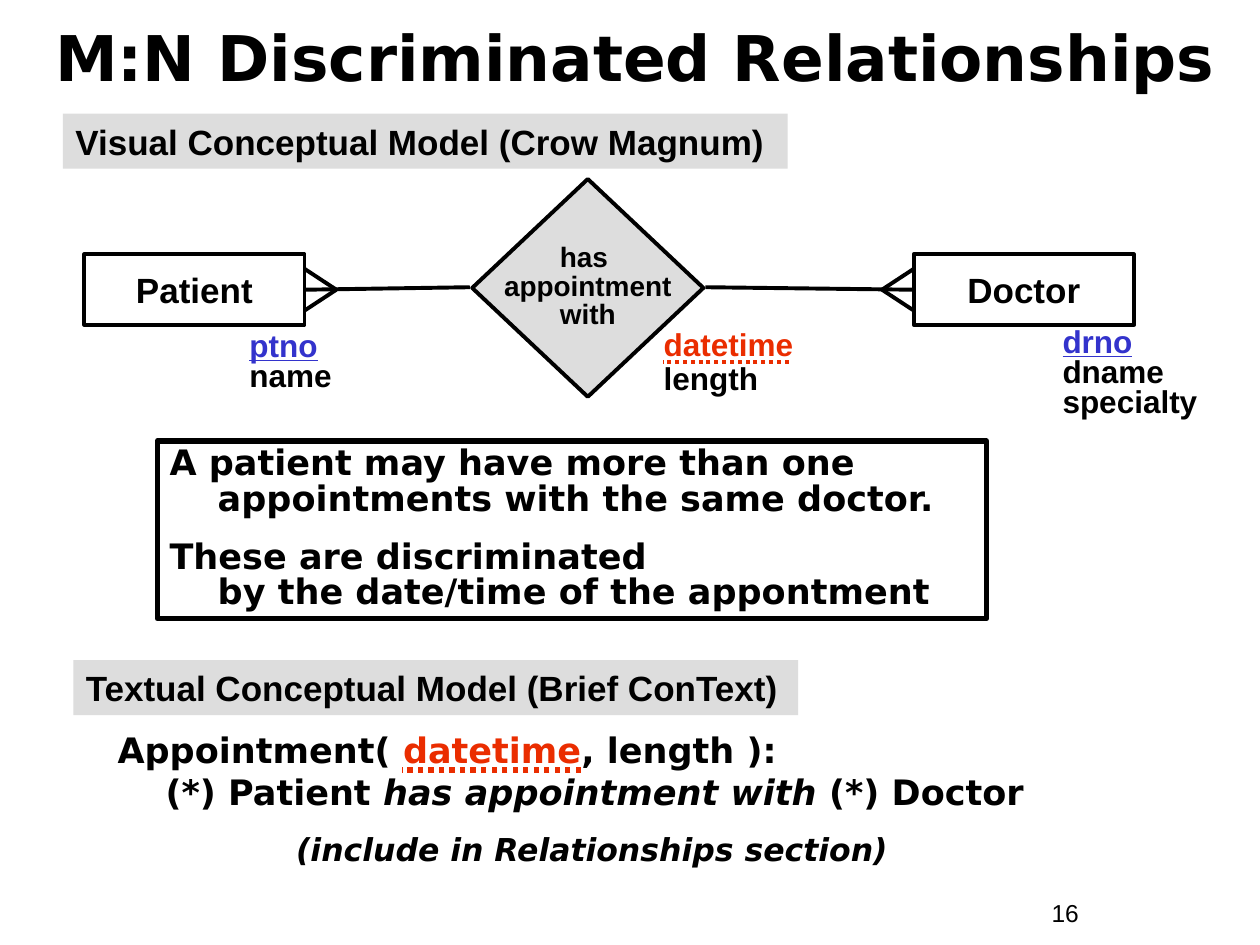
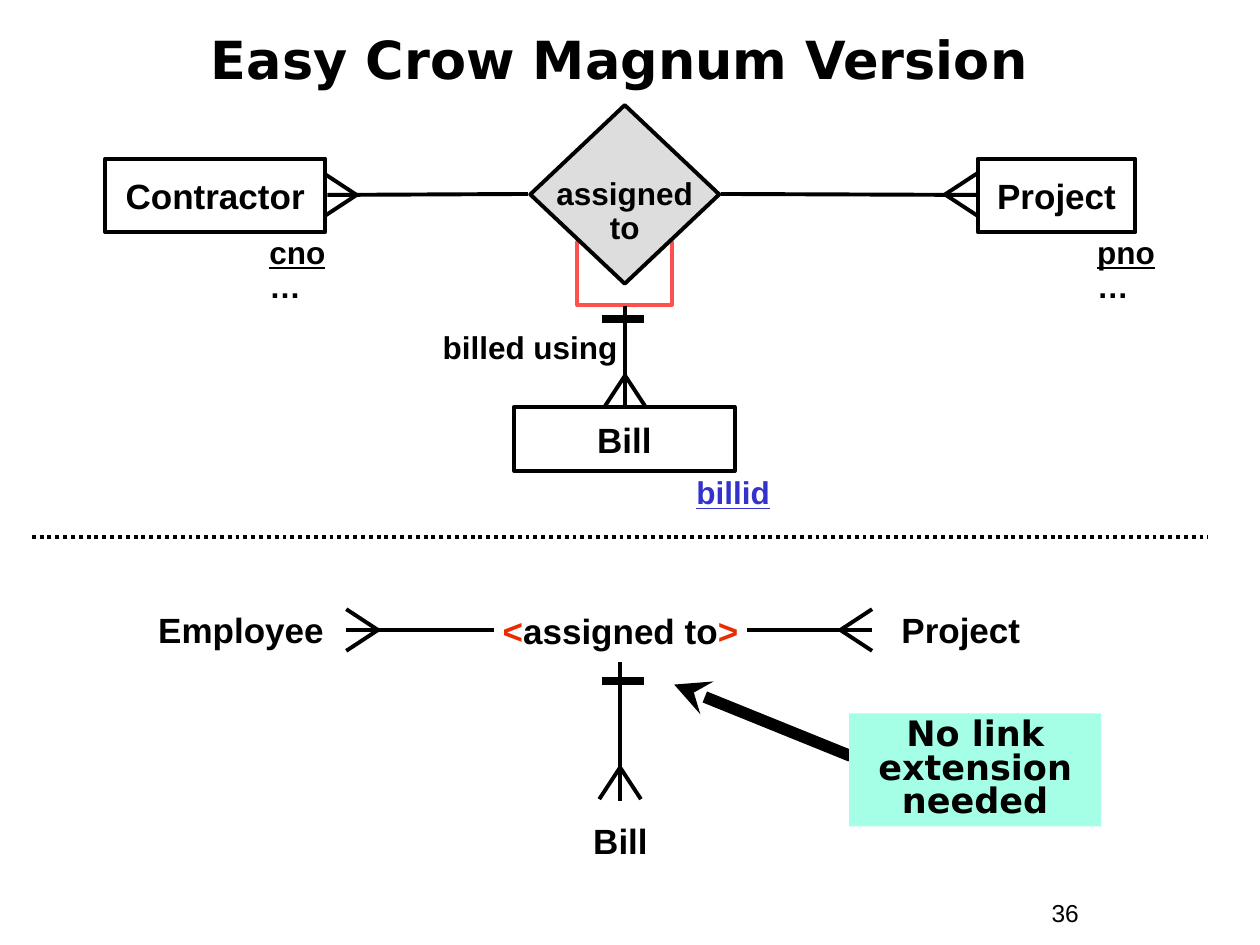
from lxml import etree
from pptx import Presentation
from pptx import util as u
from pptx.dml.color import RGBColor
from pptx.enum import dml, shapes, text
from pptx.oxml.ns import qn

BLACK = RGBColor(0x00, 0x00, 0x00)
WHITE = RGBColor(0xFF, 0xFF, 0xFF)
GREY = RGBColor(0xDD, 0xDD, 0xDD)
KEY_BLUE = RGBColor(0x33, 0x33, 0xCC)
ACCENT_RED = RGBColor(0xEA, 0x2D, 0x00)
LINK_RED = RGBColor(0xFF, 0x50, 0x50)
MINT = RGBColor(0xA5, 0xFF, 0xE7)

SANS, WIDE = "Arial", "DejaVu Sans"
LEFT, CENTER, RIGHT = (text.PP_ALIGN.LEFT, text.PP_ALIGN.CENTER,
                       text.PP_ALIGN.RIGHT)
LINE = 2.25  # standard stroke, points
FOOT, SPREAD = 0.64, 0.42  # crow's foot length and half width, cm
HANG = 0.97  # hanging indent, cm


def run(words, color=BLACK, italic=False, underline=False):
    return words, color, italic, underline


class Deck:
    """Holds the style and the slide being drawn."""

    def __init__(self):
        self.prs = Presentation()
        self.prs.slide_width, self.prs.slide_height = u.Cm(25.4), u.Cm(19.05)
        self.slide = None

    def new_slide(self, number):
        self.slide = self.prs.slides.add_slide(self.prs.slide_layouts[6])
        self.text((20.95, 17.98, 2.34, 0.86), [[run(number)]], size=14, bold=False)

    def fill_frame(self, frame, paragraphs, size=20, font=SANS, bold=True,
                   align=LEFT, spacing=1.0, before=0, hang=0, wrap=True,
                   middle=False, top=0.13):
        frame.word_wrap = wrap
        frame.margin_left = frame.margin_right = u.Cm(0.25)
        frame.margin_top, frame.margin_bottom = u.Cm(top), u.Cm(0.13)
        frame.vertical_anchor = (text.MSO_ANCHOR.MIDDLE if middle
                                 else text.MSO_ANCHOR.TOP)
        for index, runs in enumerate(paragraphs):
            para = frame.add_paragraph() if index else frame.paragraphs[0]
            para.alignment = align
            para.line_spacing = spacing
            para.space_before = u.Pt(before if index else 0)
            if hang:
                props = para._p.get_or_add_pPr()
                props.set("marL", str(u.Cm(hang)))
                props.set("indent", str(-u.Cm(hang)))
            for words, color, italic, underline in runs:
                for row, part in enumerate(words.split("\n")):
                    if row:
                        para.add_line_break()
                    piece = para.add_run()
                    piece.text = part
                    piece.font.size, piece.font.name = u.Pt(size), font
                    piece.font.bold, piece.font.italic = bold, italic
                    piece.font.underline = underline
                    piece.font.color.rgb = color

    def text(self, box, paragraphs, **style):
        area = self.slide.shapes.add_textbox(*map(u.Cm, box))
        self.fill_frame(area.text_frame, paragraphs, **style)

    def title(self, box, words, size, spacing=1.0):
        self.text(box, [[run(words)]], size=size, font=WIDE, align=CENTER,
                  spacing=spacing, middle=True)

    def shape(self, box, paragraphs=(), kind=shapes.MSO_SHAPE.RECTANGLE,
              fill=None, line=None, width=LINE, **style):
        form = self.slide.shapes.add_shape(kind, *map(u.Cm, box))
        form.shadow.inherit = False
        if fill is None:
            form.fill.background()
        else:
            form.fill.solid()
            form.fill.fore_color.rgb = fill
        if line is None:
            form.line.fill.background()
        else:
            form.line.color.rgb, form.line.width = line, u.Pt(width)
        self.fill_frame(form.text_frame, paragraphs, **style)

    def heading(self, left, top, words):
        self.shape((left, top, 14.61, 1.11), [[run(words)]], fill=GREY)

    def entity(self, box, words):
        self.shape(box, [[run(words)]], line=BLACK, align=CENTER,
                   wrap=False, middle=True)

    def entity_label(self, box, words):
        self.text(box, [[run(words)]], align=CENTER, wrap=False, middle=True)

    def relationship(self, box, words, size, spacing, top=0.13):
        self.shape(box, [[run(words)]], fill=GREY, line=BLACK, size=size,
                   kind=shapes.MSO_SHAPE.FLOWCHART_DECISION, align=CENTER,
                   spacing=spacing, wrap=False, middle=True, top=top)

    def attributes(self, box, key, others=(), color=KEY_BLUE, underline=True,
                   spacing=0.9):
        rows = [[run(key, color, underline=underline)]]
        self.text(box, rows + [[run(name)] for name in others], size=18,
                  spacing=spacing)

    def line(self, start, end, color=BLACK, width=LINE, dotted=False, arrow=False):
        link = self.slide.shapes.add_connector(
            shapes.MSO_CONNECTOR.STRAIGHT, *map(u.Cm, start + end))
        link.line.color.rgb, link.line.width = color, u.Pt(width)
        if dotted:
            link.line.dash_style = dml.MSO_LINE.ROUND_DOT
        props = link._element.spPr
        if arrow:
            etree.SubElement(props.find(qn("a:ln")), qn("a:tailEnd"), type="stealth")
        etree.SubElement(props, qn("a:effectLst"))

    def crow_foot(self, x, y, across=0, down=0):
        """Two toes from the tip (x, y), spreading in the given direction."""
        for side in (-SPREAD, SPREAD):
            self.line((x, y), (x + across * FOOT + abs(down) * side,
                               y + down * FOOT + abs(across) * side))

    def one_bar(self, y):
        self.line((12.14, y), (12.98, y), width=4.5)


def discriminated_relationships(deck):
    deck.new_slide("16")
    deck.title((0.84, 0.43, 23.93, 1.7), "M:N Discriminated Relationships", 36, 0.8)

    # Visual model
    deck.heading(1.27, 2.29, "Visual Conceptual Model (Crow Magnum)")
    deck.relationship((9.52, 3.61, 4.66, 4.39), "has \nappointment\nwith", 16, 0.85)
    for left, name in ((1.7, "Patient"), (18.42, "Doctor")):
        deck.entity((left, 5.13, 4.44, 1.42), name)
    deck.line((6.17, 5.84), (9.47, 5.79))
    deck.line((14.22, 5.79), (18.39, 5.84))
    deck.crow_foot(6.78, 5.84, across=-1)
    deck.crow_foot(17.78, 5.84, across=1)
    deck.attributes((4.78, 6.58, 3.81, 1.47), "ptno", ["name"], spacing=0.8)
    deck.attributes((21.17, 6.5, 3.6, 2.08), "drno", ["dname", "specialty"],
                    spacing=0.8)
    deck.attributes((13.13, 6.5, 4.23, 1.63), "datetime", ["length"],
                    color=ACCENT_RED, underline=False)
    deck.line((15.9, 7.29), (13.36, 7.29), ACCENT_RED, dotted=True)

    # Explanation
    deck.shape((3.17, 8.89, 16.72, 3.58), [
        [run("A patient may have more than one appointments with the same doctor.")],
        [run("These are discriminated\nby the date/time of the appontment")],
    ], line=BLACK, width=3, font=WIDE, spacing=0.85, before=12.5, hang=HANG)

    # Textual model
    deck.heading(1.48, 13.31, "Textual Conceptual Model (Brief ConText)")
    deck.text((2.12, 14.55, 19.9, 1.96), [[
        run("Appointment( "), run("datetime", ACCENT_RED),
        run(", length ):\n(*) Patient "),
        run("has appointment with", italic=True), run(" (*) Doctor"),
    ]], font=WIDE, hang=HANG)
    deck.line((11.71, 15.52), (8.1, 15.52), ACCENT_RED, width=3, dotted=True)
    deck.text((5.72, 16.71, 15.88, 0.91),
              [[run("(include in Relationships section)", italic=True)]],
              size=18, font=WIDE, spacing=0.85, hang=HANG)


def easy_version(deck):
    deck.new_slide("36")
    deck.title((0.21, 0.02, 24.56, 2.34), "Easy Crow Magnum Version", 30)

    # Full diagram
    deck.shape((11.64, 4.88, 1.9, 1.27), line=LINK_RED)
    deck.relationship((10.69, 2.12, 3.81, 3.6), "assigned\nto", 18, 0.9, top=0.86)
    deck.entity((2.12, 3.2, 4.44, 1.48), "Contractor")
    deck.entity((19.71, 3.2, 3.18, 1.48), "Project")
    deck.entity((10.37, 8.2, 4.44, 1.3), "Bill")
    deck.line((6.6, 3.93), (10.64, 3.91))
    deck.line((14.53, 3.91), (19.69, 3.93))
    deck.line((12.6, 6.17), (12.6, 8.18))
    deck.crow_foot(7.19, 3.93, across=-1)
    deck.crow_foot(19.05, 3.92, across=1)
    deck.crow_foot(12.6, 7.57, down=1)
    deck.one_bar(6.43)
    for left, key in ((5.18, "cno"), (21.87, "pno")):
        deck.attributes((left, 4.66, 3.18, 1.63), key, ["…"], color=BLACK)
    deck.attributes((13.79, 9.5, 2.72, 0.94), "billid")
    deck.text((7.19, 6.63, 5.51, 0.86), [[run("billed using")]], size=18,
              align=RIGHT, spacing=0.8)

    deck.line((0.64, 10.82), (24.34, 10.82), dotted=True)

    # Short diagram
    deck.entity_label((2.74, 11.43, 4.24, 2.54), "Employee")
    deck.entity_label((17.57, 11.43, 3.6, 2.54), "Project")
    deck.entity_label((10.29, 16.15, 4.44, 1.6), "Bill")
    deck.shape((9.96, 12.07, 5.1, 1.27), [[
        run("<", ACCENT_RED), run("assigned to"), run(">", ACCENT_RED),
    ]], fill=WHITE, align=CENTER, wrap=False, middle=True)
    deck.line((6.98, 12.7), (9.96, 12.7))
    deck.line((15.06, 12.7), (17.57, 12.7))
    deck.line((12.5, 13.34), (12.5, 16.15))
    deck.crow_foot(7.62, 12.7, across=-1)
    deck.crow_foot(16.94, 12.7, across=1)
    deck.crow_foot(12.5, 15.47, down=1)
    deck.one_bar(13.72)

    # Remark
    deck.line((17.15, 15.24), (13.59, 13.8), width=6.75, arrow=True)
    deck.shape((17.12, 14.38, 5.08, 2.28), [[run("No link extension needed")]],
               fill=MINT, font=WIDE, align=CENTER, spacing=0.8)


def main():
    deck = Deck()
    discriminated_relationships(deck)
    easy_version(deck)
    deck.prs.save("out.pptx")


if __name__ == "__main__":
    main()
